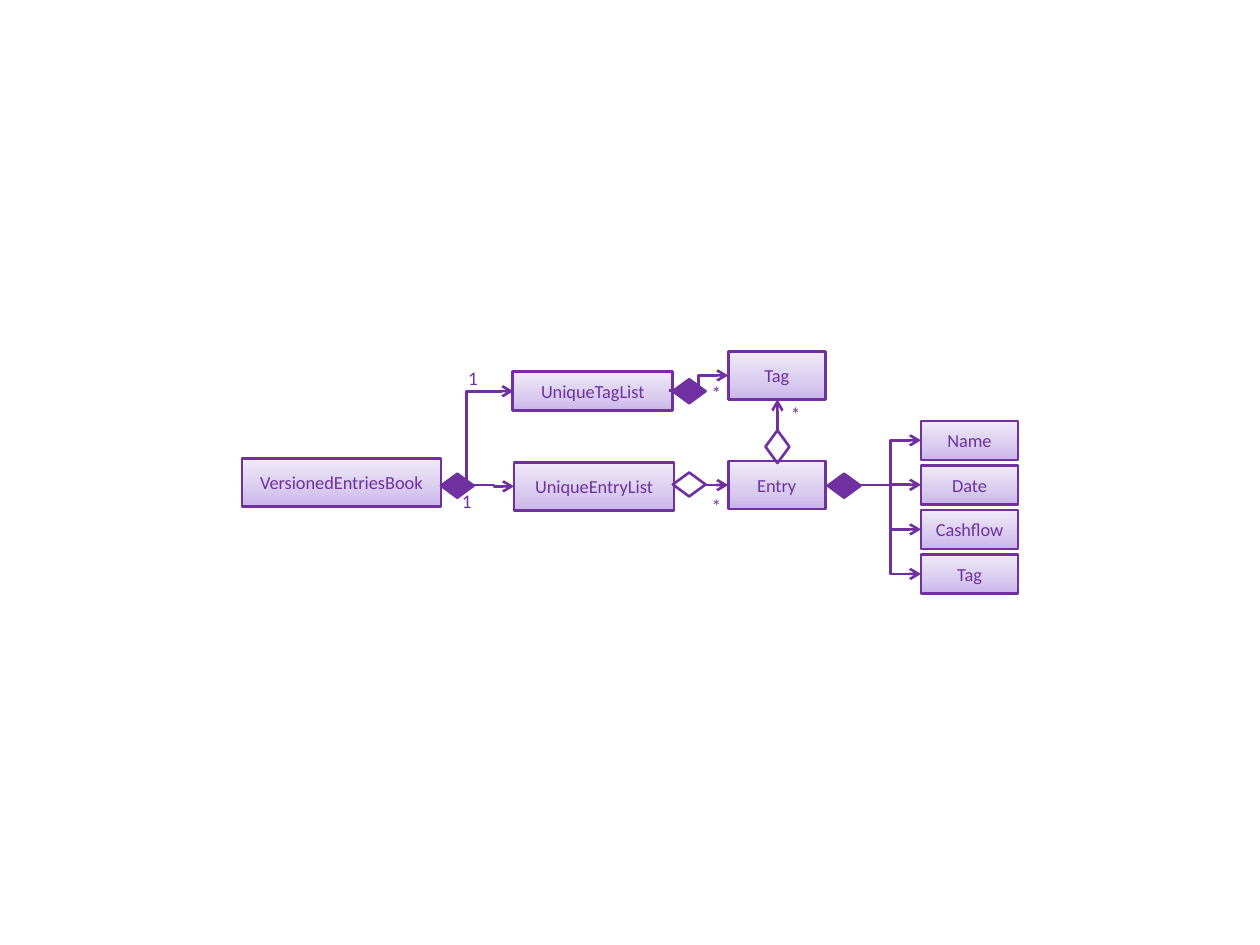
"""Build a purple class diagram of an entries book."""
from copy import deepcopy

from lxml.etree import SubElement
from pptx import Presentation
from pptx.dml.color import RGBColor
from pptx.enum.shapes import MSO_CONNECTOR as CONN, MSO_SHAPE as SHAPE
from pptx.enum.text import MSO_ANCHOR as ANCHOR, PP_ALIGN as ALIGN
from pptx.oxml.ns import qn
from pptx.util import Inches, Pt

COLORS = {"ink": "7030A0", "low": "C9B5E8", "mid": "D8CBEE", "high": "F0EAF9"}
RGB = {name: RGBColor.from_string(value) for name, value in COLORS.items()}
STOPS = [(0, "low"), (0.35, "mid"), (1, "high")]
LABEL_FORMAT = {"margin_left": 0, "margin_right": 0, "margin_top": 0,
                "margin_bottom": 0, "word_wrap": True}


def write(tf, text, size):
    p = tf.paragraphs[0]
    p.alignment = ALIGN.CENTER
    r = p.add_run()
    r.text = text
    for name, value in {"name": "Calibri", "size": Pt(size)}.items():
        setattr(r.font, name, value)
    r.font.color.rgb = RGB["ink"]


def outline(sp):
    sp.line.color.rgb = RGB["ink"]
    sp.line.width = Pt(1.5)


prs = Presentation()
prs.slide_width, prs.slide_height = Inches(10), Inches(7.5)
s = prs.slides.add_slide(prs.slide_layouts[6])

attr_left, attr_top, attr_height = 7.31, 3.34, 0.31
attr_step = (4.4 - attr_top) / 3
attributes = ["Name", "Date", "Cashflow", "Tag"]
attr_tops = [attr_top + i * attr_step for i in range(len(attributes))]

boxes = [
    ("VersionedEntriesBook", 1.92, 3.64, 1.58, 0.38),
    ("UniqueEntryList", 4.08, 3.67, 1.27, 0.38),
    ("UniqueTagList", 4.07, 2.95, 1.27, 0.31),
    ("Entry", 5.78, 3.66, 0.77, 0.38),
    ("Tag", 5.78, 2.79, 0.77, 0.38),
]
boxes += [(name, attr_left, top, 0.77, attr_height)
          for name, top in zip(attributes, attr_tops)]
for text, *place in boxes:
    sp = s.shapes.add_shape(SHAPE.RECTANGLE, *map(Inches, place))
    sp.shadow.inherit = False
    outline(sp)
    sp.fill.gradient()
    sp.fill.gradient_angle = 90
    stops = sp._element.spPr.find(".//" + qn("a:gsLst"))
    stops.append(deepcopy(stops[0]))
    for stop, (position, color) in zip(sp.fill.gradient_stops, STOPS):
        stop.position = position
        stop.color.rgb = RGB[color]
    sp.text_frame.vertical_anchor = ANCHOR.MIDDLE
    write(sp.text_frame, text, 10.5)

arrows = [
    (CONN.ELBOW, 3.76, 3.85, 4.08, 3.86),
    (CONN.ELBOW, 5.6, 3.85, 5.78, 3.85),
    (CONN.ELBOW, 5.31, 3.1, 5.78, 2.98),
    (CONN.STRAIGHT, 6.17, 3.42, 6.17, 3.17),
    (CONN.ELBOW, 4.28, 3.68, 3.5, 3.31),
]
arrows += [(CONN.ELBOW, 6.83, 3.85, attr_left, top + attr_height / 2)
           for top in attr_tops]
connectors = []
for kind, *ends in arrows:
    c = s.shapes.add_connector(kind, *map(Inches, ends))
    outline(c)
    SubElement(c.line._get_or_add_ln(), qn("a:tailEnd"), type="arrow")
    SubElement(c._element.spPr, qn("a:effectLst"))
    connectors.append(c)

book_to_tags = connectors[4]._element.spPr
book_to_tags.find(qn("a:prstGeom")).set("prst", "bentConnector2")
book_to_tags.find(qn("a:xfrm")).set("rot", str(90 * 60000))

diamonds = [
    (3.5, 3.76, True, 0),
    (5.34, 3.75, False, 0),
    (6.57, 3.76, True, 0),
    (6.04, 3.45, False, 270),
    (5.34, 3.01, True, 0),
]
for left, top, filled, rotation in diamonds:
    sp = s.shapes.add_shape(SHAPE.FLOWCHART_DECISION, Inches(left), Inches(top),
                            Inches(0.26), Inches(0.19))
    sp.shadow.inherit = False
    sp.rotation = rotation
    outline(sp)
    if filled:
        sp.fill.solid()
        sp.fill.fore_color.rgb = RGB["ink"]
    else:
        sp.fill.background()

labels = [("1", 3.6, 3.88), ("1", 3.65, 2.91), ("*", 5.58, 3.92),
          ("*", 5.58, 3.03), ("*", 6.21, 3.19)]
for text, left, top in labels:
    tf = s.shapes.add_textbox(Inches(left), Inches(top),
                              Inches(0.21), Inches(0.2)).text_frame
    for name, value in LABEL_FORMAT.items():
        setattr(tf, name, value)
    write(tf, text, 11)

prs.save("out.pptx")
